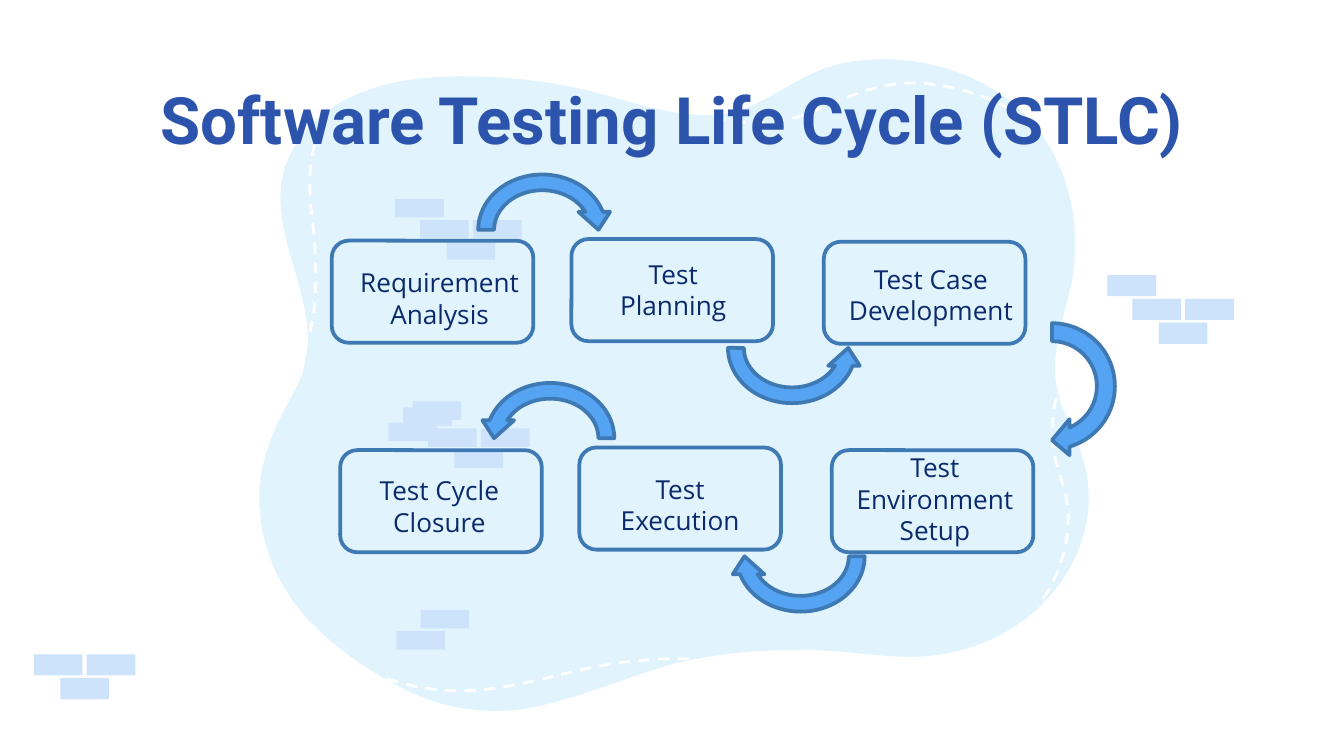
from pptx import Presentation
from pptx.dml.color import RGBColor
from pptx.enum.dml import MSO_LINE
from pptx.enum.shapes import MSO_SHAPE as Shape
from pptx.enum.text import MSO_ANCHOR as Anchor, MSO_AUTO_SIZE as AutoSize, PP_ALIGN as Align
from pptx.util import Cm, Pt

WHITE = RGBColor(0xFF, 0xFF, 0xFF)
PALE_BLUE = RGBColor(0xE1, 0xF4, 0xFD)
BRICK_BLUE = RGBColor(0xCC, 0xE3, 0xFB)
ARROW_BLUE = RGBColor(0x55, 0xA3, 0xF3)
EDGE_BLUE = RGBColor(0x3F, 0x79, 0xB4)
TITLE_BLUE = RGBColor(0x2C, 0x54, 0xAC)
NAVY = RGBColor(0x0A, 0x2A, 0x6B)

BLOB = [
    (16.71, 1.12),
    (17.65, 1.12), (18.64, 1.47), (19.28, 2.08),
    (19.38, 2.18), (19.53, 2.34), (19.63, 2.46),
    (20.24, 3.28), (20.42, 4.29), (20.27, 5.26),
    (20.14, 5.92), (19.86, 6.58), (19.96, 7.26),
    (20.02, 7.67), (20.27, 8.1), (20.42, 8.53),
    (20.8, 9.55), (20.47, 10.67), (19.66, 11.46),
    (19.1, 11.99), (18.39, 12.32), (17.55, 12.4),
    (16.81, 12.47), (16.05, 12.29), (15.32, 12.29),
    (14.43, 12.27), (13.54, 12.34), (12.65, 12.57),
    (11.76, 12.83), (10.92, 13.21), (9.98, 13.39),
    (9.02, 13.54), (8.1, 13.34), (7.32, 12.85),
    (6.81, 12.57), (6.43, 12.29), (6.02, 11.91),
    (4.98, 10.95), (4.62, 9.5), (5.13, 8.28),
    (5.28, 7.85), (5.56, 7.47), (5.72, 7.04),
    (5.77, 6.81), (5.82, 6.6), (5.82, 6.38),
    (5.79, 5.18), (4.9, 3.99), (5.51, 2.87),
    (5.94, 2.08), (6.73, 1.68), (7.67, 1.52),
    (8.66, 1.37), (9.83, 1.45), (10.85, 1.65),
    (11.58, 1.8), (12.52, 2.18), (13.34, 2.18),
    (13.51, 2.18), (13.69, 2.18), (13.84, 2.13),
    (14.45, 1.96), (14.94, 1.55), (15.52, 1.32),
    (15.9, 1.17), (16.31, 1.12), (16.71, 1.12),
]
STITCHES = [
    [(13.51, 2.21), (13.97, 2.36), (14.5, 2.36), (15.09, 2.21),
     (15.6, 2.05), (16.4, 1.57), (17.22, 1.57),
     (18, 1.57), (18.8, 1.85), (19.33, 2.21)],
    [(6.05, 2.39), (5.8, 3.1), (5.83, 3.6), (5.92, 4.29),
     (5.99, 5.1), (6, 5.75), (5.84, 6.38)],
    [(19.96, 7.52), (19.75, 8.5), (20.05, 8.9), (20.15, 9.4),
     (20.3, 10.2), (20, 10.9), (19.63, 11.46)],
    [(7.32, 12.83), (8.1, 13.1), (8.9, 13.1), (9.6, 12.97),
     (10.8, 12.75), (11.5, 12.42), (13.1, 12.45)],
]

TRIO = [(1.47, 1), (0.47, 1), (0.97, 2)]
STAIR = TRIO + [(0, 0)]
PAIR = [(0, 1), (0.46, 0)]
SMALL, LARGE = 0.35, 0.4
BRICKS = [
    (0.17, 11.92, LARGE, TRIO),
    (20.93, 5.2, LARGE, STAIR),
    (7.47, 3.76, SMALL, STAIR),
    (7.34, 7.59, SMALL, PAIR),
    (7.62, 7.7, SMALL, STAIR),
    (7.49, 11.53, SMALL, PAIR),
]
STEPS = [
    ("Requirement Analysis", (6.27, 4.55), (0.2, 0.36, 3.68, 1.45)),
    ("Test Planning", (10.8, 4.52), (0.25, 0.23, 3.35, 1.45)),
    ("Test Case Development", (15.57, 4.57), (0.03, 0.28, 3.99, 1.45)),
    ("Test Environment Setup", (15.72, 8.51), (0.03, -0.1, 3.84, 2.06)),
    ("Test Execution", (10.95, 8.46), (0.23, 0.36, 3.35, 1.45)),
    ("Test Cycle Closure", (6.43, 8.51), (0.2, 0.33, 3.35, 1.45)),
]
ARROWS = [
    ((8.89, 3.15, 2.72, 2.39), 0, False),
    ((13.61, 5.38, 2.72, 2.39), 180, True),
    ((18.52, 5.94, 2.72, 2.72), 90, False),
    ((13.77, 9.32, 2.72, 2.39), 180, False),
    ((9.04, 7.09, 2.72, 2.39), 0, True),
]


def paint(shape, fill=None, line=None, width=2):
    """Give a shape its fill and outline, or leave them out."""
    shape.shadow.inherit = False
    if fill is None:
        shape.fill.background()
    else:
        shape.fill.solid()
        shape.fill.fore_color.rgb = fill
    if line is None:
        shape.line.fill.background()
    else:
        shape.line.color.rgb = line
        shape.line.width = Pt(width)


def add_preset(slide, kind, box, **colours):
    """Add a painted preset shape in a box given in centimetres."""
    shape = slide.shapes.add_shape(kind, *map(Cm, box))
    paint(shape, **colours)
    return shape


def add_text(slide, text, box, font="Open Sans", size=14, color=NAVY, bold=False,
             inset=0.13, grow=True):
    """Add a centred, wrapping text box."""
    frame = slide.shapes.add_textbox(*map(Cm, box)).text_frame
    frame.word_wrap = True
    frame.auto_size = AutoSize.SHAPE_TO_FIT_TEXT if grow else AutoSize.NONE
    frame.vertical_anchor = Anchor.TOP
    frame.margin_top = frame.margin_bottom = Cm(inset)
    paragraph = frame.paragraphs[0]
    paragraph.alignment = Align.CENTER
    run = paragraph.add_run()
    run.text = text
    run.font.name, run.font.size, run.font.bold = font, Pt(size), bold
    run.font.color.rgb = color


def bezier_points(knots, steps=12):
    """Sample a chain of cubic curves into points in EMU."""
    points = [knots[0]]
    for i in range(0, len(knots) - 1, 3):
        for t in (n / steps for n in range(1, steps + 1)):
            weights = ((1 - t) ** 3, 3 * t * (1 - t) ** 2, 3 * t * t * (1 - t), t ** 3)
            points.append(tuple(sum(w * knot[axis] for w, knot in zip(weights, knots[i:i + 4]))
                                for axis in (0, 1)))
    return [(Cm(x), Cm(y)) for x, y in points]


def add_curve(slide, knots, left, top, close):
    """Add a smooth outline moved by the left and top given."""
    start, *rest = bezier_points(knots)
    builder = slide.shapes.build_freeform(*start, scale=1.0)
    builder.add_line_segments(rest, close=close)
    return builder.convert_to_shape(Cm(left), Cm(top))


def draw_backdrop(slide, left, top):
    """Draw the pale blob with its dashed white stitching."""
    paint(add_curve(slide, BLOB, left, top, True), fill=PALE_BLUE)
    for knots in STITCHES:
        stitch = add_curve(slide, knots, left, top, False)
        paint(stitch, line=WHITE, width=1.5)
        stitch.line.dash_style = MSO_LINE.DASH


def draw_bricks(slide, left, top, height, cells):
    """Lay a cluster of bricks in rows below the given corner."""
    for dx, row in cells:
        box = (left + dx, top + row * (height + 0.05), 0.92, height)
        add_preset(slide, Shape.RECTANGLE, box, fill=BRICK_BLUE)


def draw_step(slide, label, corner, caption):
    """Draw a rounded frame and its caption, placed from the frame corner."""
    left, top = corner
    dx, dy, width, height = caption
    add_preset(slide, Shape.ROUNDED_RECTANGLE, (left, top, 3.81, 1.93), line=EDGE_BLUE)
    add_text(slide, label, (left + dx, top + dy, width, height))


def draw_arrow(slide, box, rotation, mirrored):
    """Draw a curved arrow that leads to the next step."""
    arrow = add_preset(slide, Shape.CIRCULAR_ARROW, box, fill=ARROW_BLUE, line=EDGE_BLUE)
    arrow.rotation = rotation
    if mirrored:
        arrow.element.spPr.get_or_add_xfrm().set("flipH", "1")


def main():
    """Build the slide and save it."""
    deck = Presentation()
    deck.slide_width, deck.slide_height = Cm(25.4), Cm(14.29)
    slide = deck.slides.add_slide(deck.slide_layouts[6])
    draw_backdrop(slide, 0, 0)
    add_text(slide, "Software Testing Life Cycle (STLC)", (1.98, 1.24, 21.44, 1.6),
             font="Roboto", size=35, color=TITLE_BLUE, bold=True, inset=0.25, grow=False)
    for cluster in BRICKS:
        draw_bricks(slide, *cluster)
    for step in STEPS:
        draw_step(slide, *step)
    for arrow in ARROWS:
        draw_arrow(slide, *arrow)
    deck.save("out.pptx")


if __name__ == "__main__":
    main()
